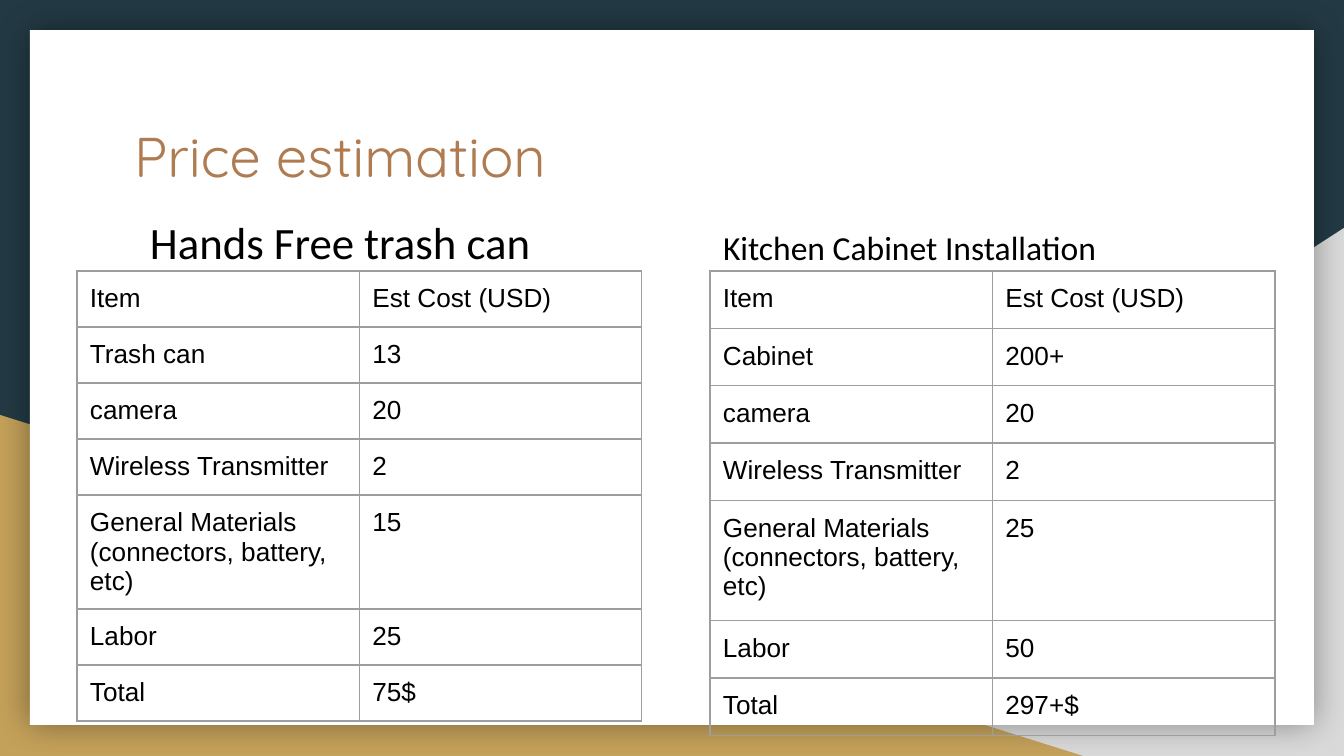
import pptx
import pptx.util
import pptx.dml.color
import pptx.enum.shapes
import pptx.enum.text
import pptx.oxml
import pptx.oxml.ns

SCALE = 914400 / 134.4
INSET = 13
SHAPE = pptx.enum.shapes.MSO_SHAPE


def px(length):
    """Turn pixels into EMU."""
    return pptx.util.Emu(round(length * SCALE))


def rgb(value):
    """Turn a hex string into a colour."""
    return pptx.dml.color.RGBColor.from_string(value)


def xml(markup):
    """Parse one DrawingML element written with the a: prefix."""
    head, rest = markup.split(" ", 1)
    return pptx.oxml.parse_xml(f"{head} {pptx.oxml.ns.nsdecls('a')} {rest}")


def write(frame, text, font="Arial", size=14, color="000000"):
    """Fill a text frame with one formatted, top-anchored paragraph."""
    frame.word_wrap = True
    frame.vertical_anchor = pptx.enum.text.MSO_ANCHOR.TOP
    frame.margin_left = frame.margin_right = px(INSET)
    frame.margin_top = frame.margin_bottom = px(INSET)
    paragraph = frame.paragraphs[0]
    paragraph.alignment = pptx.enum.text.PP_ALIGN.LEFT
    run = paragraph.add_run()
    run.text = text
    run.font.name = font
    run.font.size = pptx.util.Pt(size)
    run.font.color.rgb = rgb(color)


class Deck:
    """Hold the style and the current slide."""

    backdrop, gray, gold, paper = "233A44", "D9D9D9", "C4A15A", "FFFFFF"
    accent, border = "AF7B51", "9E9E9E"

    def __init__(self, width, height):
        """Start a presentation with one title-only slide."""
        self.presentation = pptx.Presentation()
        self.presentation.slide_width = px(width)
        self.presentation.slide_height = px(height)
        self.slide = self.presentation.slides.add_slide(self.presentation.slide_layouts[5])
        self.slide.background.fill.solid()
        self.slide.background.fill.fore_color.rgb = rgb(self.backdrop)

    def shape(self, preset, box, color, flip=False, glow=False):
        """Draw a plain filled shape, optionally mirrored or with a soft shadow."""
        shape = self.slide.shapes.add_shape(preset, *map(px, box))
        shape.shadow.inherit = False
        shape.fill.solid()
        shape.fill.fore_color.rgb = rgb(color)
        shape.line.fill.background()
        properties = shape.element.spPr
        if flip:
            properties.xfrm.set("flipH", "1")
        if glow:
            effects = properties.find(pptx.oxml.ns.qn("a:effectLst"))
            effects.append(xml(
                f'<a:outerShdw blurRad="{pptx.util.Pt(18)}" dist="0" algn="ctr" rotWithShape="0">'
                '<a:srgbClr val="000000"><a:alpha val="40000"/></a:srgbClr></a:outerShdw>'))

    def title(self, text, box):
        """Place the title placeholder in front of the backdrop."""
        title = self.slide.shapes.title
        title.element.getparent().append(title.element)
        title.left, title.top, title.width, title.height = map(px, box)
        write(title.text_frame, text, font="Quicksand", size=30, color=self.accent)

    def heading(self, text, box, size):
        """Add a table heading."""
        heading = self.slide.shapes.add_textbox(*map(px, box))
        write(heading.text_frame, text, font="Calibri", size=size)

    def table(self, rows, left, top, column_width, row_height):
        """Add an unfilled table with thin borders."""
        columns = len(rows[0])
        table = self.slide.shapes.add_table(
            len(rows), columns, px(left), px(top),
            px(column_width * columns), px(row_height * len(rows))).table
        table.first_row = table.horz_banding = False
        for row, values in zip(table.rows, rows):
            row.height = px(row_height)
            for cell, value in zip(row.cells, values):
                write_cell(cell, value, self.border)


def write_cell(cell, text, border):
    """Write a table cell and draw its four borders."""
    write(cell.text_frame, text)
    cell.margin_left = cell.margin_right = px(INSET)
    cell.margin_top = cell.margin_bottom = px(INSET)
    cell.vertical_anchor = pptx.enum.text.MSO_ANCHOR.TOP
    properties = cell._tc.get_or_add_tcPr()
    for side in "LRTB":
        properties.append(xml(
            f'<a:ln{side} w="{pptx.util.Pt(0.75)}"><a:solidFill>'
            f'<a:srgbClr val="{border}"/></a:solidFill></a:ln{side}>'))
    cell.fill.background()


def cost_rows(product, product_cost, materials, labor, total):
    """List the table rows of one project."""
    return [
        ("Item", "Est Cost (USD)"),
        (product, product_cost),
        ("camera", "20"),
        ("Wireless Transmitter", "2"),
        ("General Materials (connectors, battery, etc)", materials),
        ("Labor", labor),
        ("Total", total),
    ]


deck = Deck(1344, 756)
deck.shape(SHAPE.RIGHT_TRIANGLE, (527, 228, 817, 528), deck.gray, flip=True)
deck.shape(SHAPE.RIGHT_TRIANGLE, (0, 415, 1083, 341), deck.gold)
deck.shape(SHAPE.RECTANGLE, (30, 30, 1284, 695), deck.paper, glow=True)
deck.title("Price estimation", (121, 109, 1103, 140))

projects = [
    (77, cost_rows("Trash can", "13", "15", "25", "75$"),
     "Hands Free trash can", (137, 202, 441, 27), 24),
    (710, cost_rows("Cabinet", "200+", "25", "50", "297+$"),
     "Kitchen Cabinet Installation", (710, 214, 548, 36), 18),
]
for left, rows, heading, heading_box, heading_size in projects:
    deck.table(rows, left, top=271, column_width=282.5, row_height=56)
    deck.heading(heading, heading_box, heading_size)

deck.presentation.save("out.pptx")
